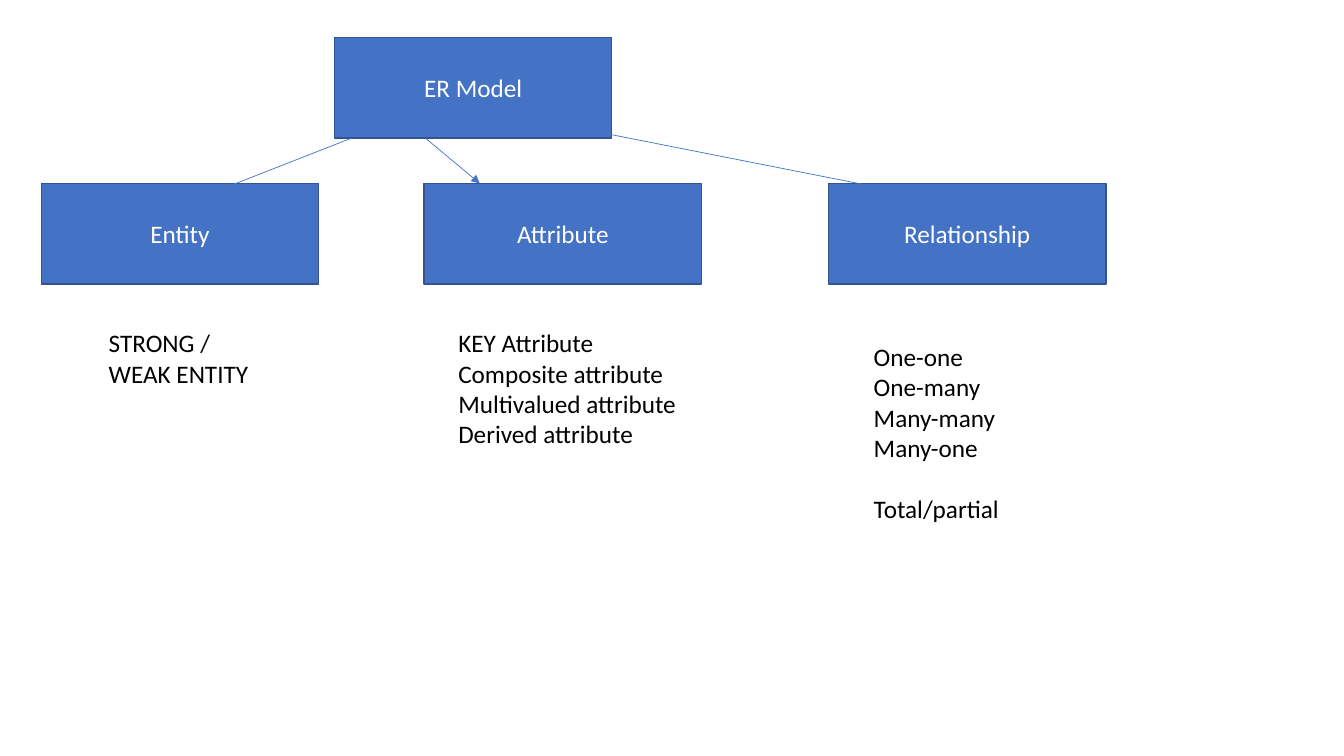
import pptx
import pptx.util
import pptx.dml.color
import pptx.enum.shapes
import pptx.enum.text
import pptx.oxml.ns
from lxml import etree

Cm, Pt = pptx.util.Cm, pptx.util.Pt
COLORS = {"box": "4472C4", "border": "325491", "label": "FFFFFF", "text": "000000"}
BOX_W, BOX_H = 6.99, 2.54
CHILD_TOP = 4.62
LINE_GAP = 22  # height of one text line, in points


def rgb(name):
    return pptx.dml.color.RGBColor.from_string(COLORS[name])


class Diagram:
    """Holds the text style and the slide being drawn on."""

    def __init__(self, slide):
        self.shapes = slide.shapes
        self.font = {"name": "Calibri", "size": Pt(18)}

    def styled_run(self, p, text, color):
        r = p.add_run()
        r.text = text
        for key, value in self.font.items():
            setattr(r.font, key, value)
        r.font.color.rgb = rgb(color)

    def box(self, label, left, top):
        s = self.shapes.add_shape(pptx.enum.shapes.MSO_SHAPE.RECTANGLE,
                                  Cm(left), Cm(top), Cm(BOX_W), Cm(BOX_H))
        s.shadow.inherit = False
        s.fill.solid()
        s.fill.fore_color.rgb = rgb("box")
        s.line.color.rgb = rgb("border")
        s.line.width = Pt(1)
        tf = s.text_frame
        tf.vertical_anchor = pptx.enum.text.MSO_ANCHOR.MIDDLE
        p = tf.paragraphs[0]
        p.alignment = pptx.enum.text.PP_ALIGN.CENTER
        self.styled_run(p, label, "label")

    def text(self, groups, left, top, width, height):
        """Add groups of lines, with a line's height between groups."""
        s = self.shapes.add_textbox(Cm(left), Cm(top), Cm(width), Cm(height))
        tf = s.text_frame
        tf.word_wrap = True
        tf.auto_size = pptx.enum.text.MSO_AUTO_SIZE.SHAPE_TO_FIT_TEXT
        for g, lines in enumerate(groups):
            for i, line in enumerate(lines):
                first = g == 0 and i == 0
                p = tf.paragraphs[0] if first else tf.add_paragraph()
                if g > 0 and i == 0:
                    p.space_before = Pt(LINE_GAP)
                self.styled_run(p, line, "text")

    def arrow(self, x1, y1, x2, y2):
        s = self.shapes.add_connector(pptx.enum.shapes.MSO_CONNECTOR.STRAIGHT,
                                      Cm(x1), Cm(y1), Cm(x2), Cm(y2))
        s.line.color.rgb = rgb("box")
        s.line.width = Pt(0.5)
        qn = pptx.oxml.ns.qn
        props = s._element.spPr
        etree.SubElement(props.find(qn("a:ln")), qn("a:tailEnd"), type="triangle")
        etree.SubElement(props, qn("a:effectLst"))


def main():
    prs = pptx.Presentation()
    prs.slide_width, prs.slide_height = Cm(33.87), Cm(19.05)
    d = Diagram(prs.slides.add_slide(prs.slide_layouts[6]))

    d.box("ER Model", 8.43, 0.94)
    for label, left in (("Entity", 1.04), ("Attribute", 10.69), ("Relationship", 20.88)):
        d.box(label, left, CHILD_TOP)

    d.text([["STRONG /", "WEAK ENTITY"]], 2.49, 8.13, 5.16, 1.8)
    d.text([["KEY Attribute", "Composite attribute",
             "Multivalued attribute", "Derived attribute"]], 11.3, 8.13, 8.51, 4.11)
    d.text([["One-one", "One-many", "Many-many", "Many-one"], ["Total/partial"]],
           21.77, 8.48, 7.26, 4.88)

    d.arrow(8.86, 3.48, 5.16, 4.93)
    d.arrow(10.72, 3.48, 12.09, CHILD_TOP)
    d.arrow(14.43, 3.2, 23.29, 4.95)

    prs.save("out.pptx")


if __name__ == "__main__":
    main()
